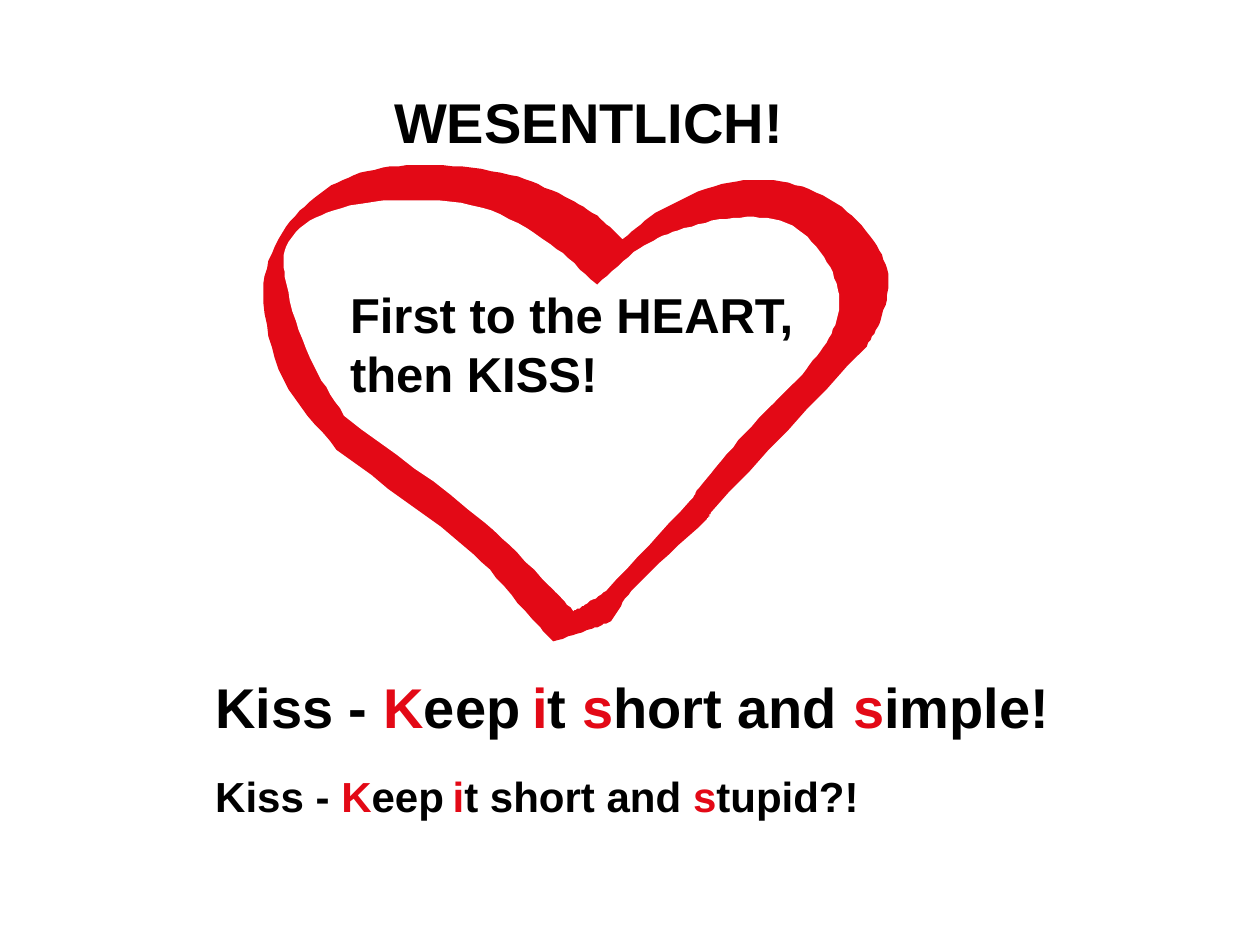
from itertools import pairwise

from pptx import Presentation
from pptx.dml.color import RGBColor
from pptx.enum.text import MSO_ANCHOR
from pptx.util import Inches, Pt

UNIT = Inches(0.01)  # the slide is a grid of 1000 columns by 750 rows
RED, BLACK, WHITE = "E30916", "000000", "FFFFFF"
STEPS = 8  # short lines drawn between two knots of a curve

# Each rim runs anticlockwise from the notch. An arc is smooth through its
# knots, and corners appear only where one arc ends and the next begins.
# Knots are columns and rows counted from the heart's top left corner.
OUTER = {
    "left lobe": [(285, 59), (268, 43), (239, 25), (196, 8), (134, 0), (82, 5),
                  (46, 22), (15, 54), (0, 100), (16, 170), (58, 226)],
    "left side": [(58, 226), (167, 309), (214, 361), (230, 378)],
    "tip": [(230, 378), (261, 368), (276, 362)],
    "right side": [(276, 362), (292, 338), (352, 281), (355, 276), (479, 144)],
    "right lobe": [(479, 144), (490, 123), (496, 90), (485, 61), (454, 30),
                   (411, 13), (364, 15), (315, 36), (285, 59)],
}
INNER = {
    "left lobe": [(265, 95), (228, 63), (174, 34), (103, 28), (50, 38),
                  (20, 61), (18, 93), (37, 153), (64, 199)],
    "left side": [(64, 199), (176, 284), (227, 334), (246, 354)],
    "tip": [(246, 354), (255, 349), (272, 338)],
    "right side": [(272, 338), (339, 266), (346, 256), (382, 213), (428, 166)],
    "right lobe": [(428, 166), (449, 137), (457, 108), (445, 73), (415, 46),
                   (373, 42), (329, 52), (299, 66), (265, 95)],
}


def color(code):
    return RGBColor.from_string(code)


def smooth(knots):
    """Yield points of a curve that passes each knot parallel to the line
    joining its two neighbours (cubic Hermite pieces)."""
    dots = [complex(*knot) for knot in knots]
    ends = [dots[0], *dots, dots[-1]]
    ways = [(after - before) / abs(after - before)
            for before, after in zip(ends, ends[2:])]
    for (start, way), (stop, next_way) in pairwise(zip(dots, ways)):
        span = abs(stop - start)
        for step in range(STEPS):
            t = step / STEPS
            blend = t * t * (3 - 2 * t)
            pull = way * t * (1 - t) ** 2 - next_way * t * t * (1 - t)
            dot = start + (stop - start) * blend + span * pull
            yield dot.real, dot.imag


def heart(slide, left, top):
    """Lay a white heart on a red one, which leaves a brushed red rim."""
    group = slide.shapes.add_group_shape()
    for rim, fill in ((OUTER, RED), (INNER, WHITE)):
        points = [(left + x, top + y)
                  for arc in rim.values() for x, y in smooth(arc)]
        pen = group.shapes.build_freeform(*points[0], scale=UNIT)
        pen.add_line_segments(points[1:], close=True)
        shape = pen.convert_to_shape()
        shape.shadow.inherit = False
        shape.fill.solid()
        shape.fill.fore_color.rgb = color(fill)
        shape.line.fill.background()


def label(slide, box, text, size, low=0.2):
    """Write text cut at bars: single letters are red, a lone space is narrow.
    The bottom inset low lifts the line above the middle of its box."""
    frame = slide.shapes.add_textbox(*(UNIT * n for n in box)).text_frame
    frame.word_wrap = True
    frame.vertical_anchor = MSO_ANCHOR.MIDDLE
    frame.margin_bottom = Inches(low)
    line = frame.paragraphs[0]
    for row, words in enumerate(text.split("\n")):
        if row:
            line.add_line_break()
        for part in words.split("|"):
            run = line.add_run()
            run.text = part
            initial = len(part) == 1 and part.isalpha()
            font = run.font
            font.name, font.bold = "Arial", True
            font.size = Pt(size * 0.75 if part == " " else size)
            font.color.rgb = color(RED if initial else BLACK)


def mottos(slide, left, top, width, height):
    """Stack the two readings of the motto, the second one smaller."""
    lines = (
        ("Kiss - |K|eep| |i|t |s|hort and |s|imple!", 32),
        ("Kiss - |K|eep| |i|t short and |s|tupid?!", 24),
    )
    pitch = 71
    for row, (text, size) in enumerate(lines):
        label(slide, (left, top + row * pitch, width, height), text, size)


def main():
    deck = Presentation()
    deck.slide_width, deck.slide_height = UNIT * 1000, UNIT * 750
    slide = deck.slides.add_slide(deck.slide_layouts[6])
    heart(slide, 209, 131)
    label(slide, (268, 210, 390, 125),
          "First to the HEART,\nthen KISS!", 28, low=0.05)
    mottos(slide, 161, 525, 732, 86)
    label(slide, (303, 61, 346, 86), "WESENTLICH!", 32)
    deck.save("out.pptx")


if __name__ == "__main__":
    main()
